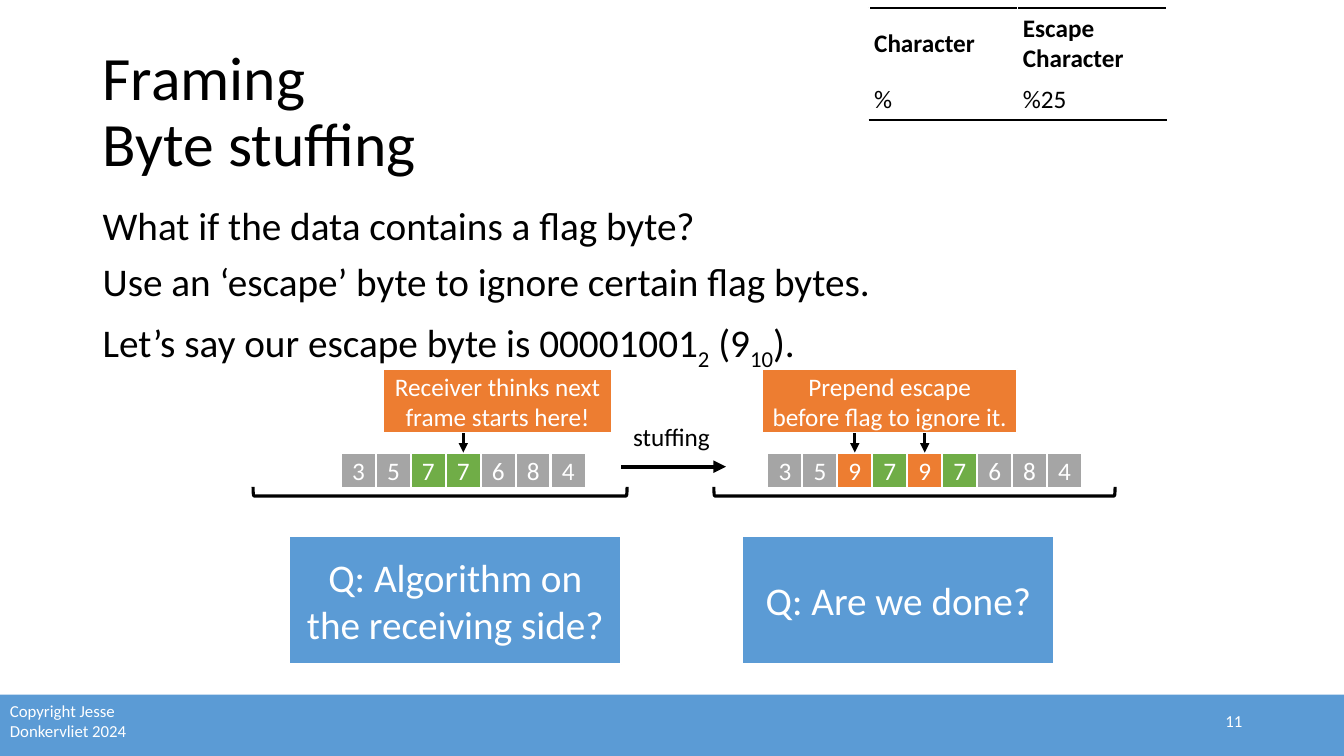
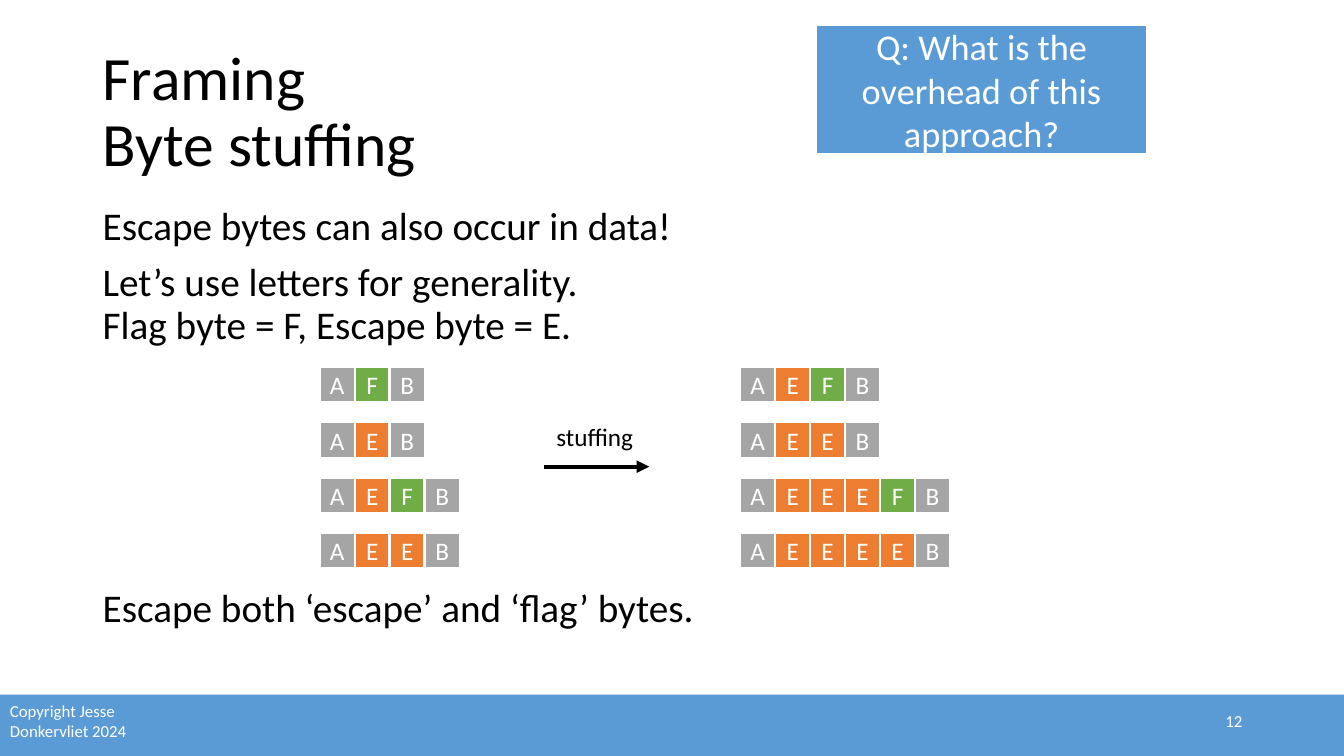
from lxml import etree
from pptx import Presentation
from pptx.dml.color import RGBColor
from pptx.enum.shapes import MSO_CONNECTOR, MSO_SHAPE
from pptx.enum.text import MSO_ANCHOR, PP_ALIGN
from pptx.oxml.ns import qn
from pptx.util import Inches, Pt

RECTANGLE = MSO_SHAPE.RECTANGLE
LEFT_BRACKET = MSO_SHAPE.LEFT_BRACKET
STRAIGHT = MSO_CONNECTOR.STRAIGHT
TOP, MIDDLE = MSO_ANCHOR.TOP, MSO_ANCHOR.MIDDLE
LEFT, CENTER, RIGHT = PP_ALIGN.LEFT, PP_ALIGN.CENTER, PP_ALIGN.RIGHT
TOP_SIDE = 0

BLUE, ORANGE, GREEN, GRAY = "5B9BD5", "ED7D31", "70AD47", "A5A5A5"
BLACK, WHITE = "000000", "FFFFFF"
BYTE_COLORS = {"7": GREEN, "F": GREEN, "9": ORANGE, "E": ORANGE}
BYTE_SIZE = 0.35
BYTE_STEP = 2.08 / 6
TITLE = "Framing\nByte stuffing"


def color(value):
    return RGBColor.from_string(value)


class Deck:
    """Hold the shared style and the slide being drawn."""

    def __init__(self):
        self.presentation = Presentation()
        self.presentation.slide_width = Inches(13.33)
        self.presentation.slide_height = Inches(7.5)
        self.slide = None

    def add_slide(self, number):
        self.slide = self.presentation.slides.add_slide(self.presentation.slide_layouts[6])
        self.box(0, 6.89, 13.33, 0.61, BLUE, outline=None)
        self.text(0, 6.9, 1.47, 0.5, ["Copyright Jesse Donkervliet 2024"], 12, WHITE, MIDDLE)
        self.text(0.92, 0.4, 11.5, 1.45, [TITLE], 44, anchor=MIDDLE, line_spacing=0.9)
        self.text(9.42, 6.95, 3, 0.4, [str(number)], 12, WHITE, MIDDLE, alignment=RIGHT)

    def format_paragraph(self, paragraph, size, text_color, bold=False, **formats):
        for name, value in formats.items():
            setattr(paragraph, name, value)
        font_formats = {"name": "Calibri", "size": Pt(size), "bold": bold}
        for run in paragraph.runs:
            for name, value in font_formats.items():
                setattr(run.font, name, value)
            run.font.color.rgb = color(text_color)

    def text(self, left, top, width, height, paragraphs, size, text_color=BLACK,
             anchor=TOP, gaps=(0,), **formats):
        shape = self.slide.shapes.add_textbox(
            Inches(left), Inches(top), Inches(width), Inches(height))
        frame = shape.text_frame
        frame.word_wrap = True
        frame.vertical_anchor = anchor
        for index, (content, gap) in enumerate(zip(paragraphs, gaps)):
            paragraph = frame.add_paragraph() if index else frame.paragraphs[0]
            if isinstance(content, str):
                paragraph.text = content
            else:
                self.subscript_runs(paragraph, content)
            self.format_paragraph(
                paragraph, size, text_color, space_before=Pt(gap), **formats)

    def subscript_runs(self, paragraph, parts):
        for index, part in enumerate(parts):
            run = paragraph.add_run()
            run.text = part
            if index % 2:
                run._r.get_or_add_rPr().set("baseline", "-25000")

    def body(self, paragraphs, gaps):
        self.text(0.92, 2, 11.5, 4.76, paragraphs, 28, gaps=gaps, line_spacing=0.9)

    def box(self, left, top, width, height, fill, content="", size=18, margin=0.1,
            outline=WHITE):
        shape = self.slide.shapes.add_shape(
            RECTANGLE, Inches(left), Inches(top), Inches(width), Inches(height))
        shape.shadow.inherit = False
        shape.fill.solid()
        shape.fill.fore_color.rgb = color(fill)
        if outline:
            shape.line.color.rgb = color(outline)
            shape.line.width = Pt(1.5)
        else:
            shape.line.fill.background()
        if content:
            frame = shape.text_frame
            frame_formats = {"word_wrap": True, "vertical_anchor": MIDDLE,
                             "margin_left": Inches(margin), "margin_right": Inches(margin)}
            for name, value in frame_formats.items():
                setattr(frame, name, value)
            frame.text = content
            self.format_paragraph(frame.paragraphs[0], size, WHITE, alignment=CENTER)
        return shape

    def byte_row(self, left, top, data):
        return [
            self.box(left + index * BYTE_STEP, top, BYTE_SIZE, BYTE_SIZE,
                     BYTE_COLORS.get(byte, GRAY), byte, margin=0)
            for index, byte in enumerate(data)]

    def arrow(self, start, end, width):
        connector = self.slide.shapes.add_connector(STRAIGHT, *start, *end)
        connector.line.color.rgb = color(BLACK)
        connector.line.width = Pt(width)
        line = connector.line._get_or_add_ln()
        etree.SubElement(line, qn("a:tailEnd"), type="triangle")
        etree.SubElement(connector._element.spPr, qn("a:effectLst"))
        return connector

    def arrow_to_byte(self, byte):
        center = byte.left + byte.width // 2
        connector = self.arrow((center, Inches(4.3)), (center, byte.top), 2.25)
        connector.end_connect(byte, TOP_SIDE)

    def stuffing_arrow(self, left):
        self.text(left + 0.02, 4.13, 0.99, 0.4, ["stuffing"], 18)
        height = Inches(4.63)
        self.arrow((Inches(left), height), (Inches(left + 1.04), height), 3)

    def bracket(self, left, top, width, depth=0.09):
        shape = self.slide.shapes.add_shape(
            LEFT_BRACKET, Inches(left + (width - depth) / 2),
            Inches(top - (width - depth) / 2), Inches(depth), Inches(width))
        shape.rotation = 270
        shape.shadow.inherit = False
        shape.fill.background()
        shape.line.color.rgb = color(BLACK)
        shape.line.width = Pt(2.25)

    def border(self, cell, side):
        line = etree.Element(qn(f"a:{side}"), w=str(Pt(1)))
        fill = etree.SubElement(line, qn("a:solidFill"))
        etree.SubElement(fill, qn("a:srgbClr"), val=BLACK)
        cell._tc.get_or_add_tcPr().insert(0, line)

    def table(self, left, top, width, row_heights, rows):
        table = self.slide.shapes.add_table(
            len(rows), len(rows[0]), Inches(left), Inches(top), Inches(width),
            Inches(sum(row_heights))).table
        table.first_row = table.horz_banding = False
        cell_formats = {"vertical_anchor": MIDDLE}
        for side in ("left", "right", "top", "bottom"):
            cell_formats[f"margin_{side}"] = Inches(0.05)
        for row_index, row in enumerate(rows):
            table.rows[row_index].height = Inches(row_heights[row_index])
            for column_index, content in enumerate(row):
                cell = table.cell(row_index, column_index)
                cell.text = content
                cell.fill.background()
                for name, value in cell_formats.items():
                    setattr(cell, name, value)
                self.format_paragraph(cell.text_frame.paragraphs[0], 18, BLACK,
                                      bold=row_index == 0, alignment=LEFT)
                if row_index == 0:
                    self.border(cell, "lnT")
                if row_index == len(rows) - 1:
                    self.border(cell, "lnB")


def escape_byte_slide(deck):
    deck.add_slide(11)
    deck.body([
        "What if the data contains a flag byte?",
        "Use an ‘escape’ byte to ignore certain flag bytes.",
        ("Let’s say our escape byte is 00001001", "2", " (9", "10", ")."),
    ], (0, 10, 10))
    data = deck.byte_row(3.38, 4.49, "3577684")
    stuffed = deck.byte_row(7.61, 4.49, "359797684")
    deck.box(3.8, 3.66, 2.27, 0.64, ORANGE, "Receiver thinks next frame starts here!")
    deck.box(7.56, 3.66, 2.53, 0.64, ORANGE, "Prepend escape before flag to ignore it.")
    for byte in (data[3], stuffed[2], stuffed[4]):
        deck.arrow_to_byte(byte)
    deck.bracket(2.51, 4.83, 3.71)
    deck.bracket(7.08, 4.83, 3.98)
    deck.stuffing_arrow(6.16)
    deck.box(2.87, 5.32, 3.29, 1.27, BLUE, "Q: Algorithm on the receiving side?", 28)
    deck.box(7.36, 5.32, 3.1, 1.27, BLUE, "Q: Are we done?", 28)
    deck.table(8.62, 0.08, 2.95, (0.71, 0.4),
               [("Character", "Escape Character"), ("%", "%25")])


def overhead_slide(deck):
    deck.add_slide(12)
    deck.body([
        "Escape bytes can also occur in data!",
        "Let’s use letters for generality.\nFlag byte = F, Escape byte = E.",
        "Escape both ‘escape’ and ‘flag’ bytes.",
    ], (0, 10, 172))
    pairs = (("AFB", "AEFB"), ("AEB", "AEEB"), ("AEFB", "AEEEFB"), ("AEEB", "AEEEEB"))
    for index, (data, stuffed) in enumerate(pairs):
        top = 3.64 + index * 0.55
        deck.byte_row(3.17, top, data)
        deck.byte_row(7.34, top, stuffed)
    deck.stuffing_arrow(5.4)
    deck.box(8.09, 0.25, 3.29, 1.28, BLUE, "Q: What is the overhead of this approach?", 25.9)


def main():
    deck = Deck()
    escape_byte_slide(deck)
    overhead_slide(deck)
    deck.presentation.save("out.pptx")


if __name__ == "__main__":
    main()
